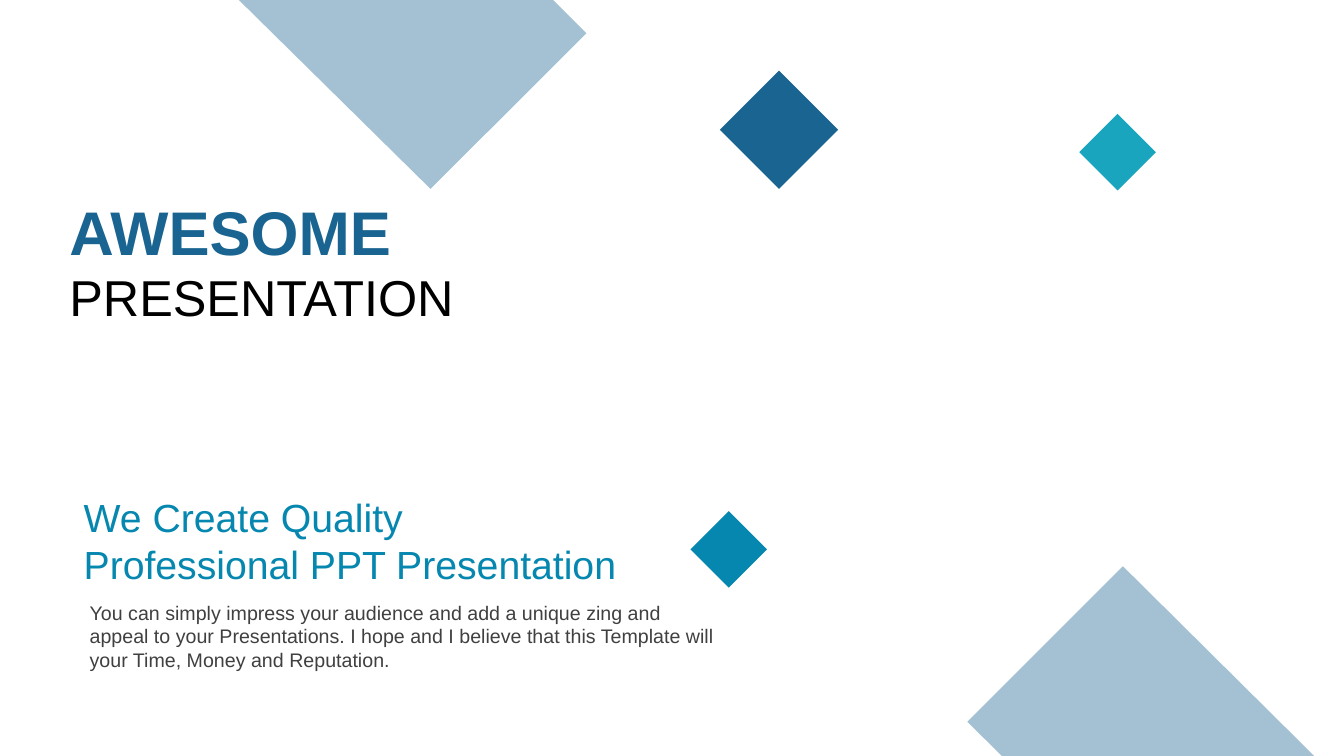
from dataclasses import dataclass

from lxml.etree import SubElement
from pptx import Presentation
from pptx.dml.color import RGBColor
from pptx.enum.shapes import MSO_SHAPE
from pptx.enum.text import MSO_ANCHOR
from pptx.oxml.ns import qn
from pptx.shapes.autoshape import Shape
from pptx.slide import Slide
from pptx.util import Cm, Pt

COLORS = {
    "navy": "196491",
    "blue": "0587AF",
    "teal": "19A5BE",
    "black": "000000",
    "gray": "404040",
}


@dataclass
class Label:
    left: float
    top: float
    width: float
    height: float
    lines: list[str]
    size: int
    color: str
    bold: bool = False
    anchor: MSO_ANCHOR = MSO_ANCHOR.MIDDLE
    side: float = 0.25
    edge: float = 0.13


@dataclass
class Diamond:
    left: float
    top: float
    size: float
    color: str


@dataclass
class Corner:
    points: list[tuple[float, float]]
    color: str
    alpha: int


LABELS = [
    Label(2.01, 15.01, 16.36, 2.06,
          ["You can simply impress your audience and add a unique zing and "
           "appeal to your Presentations. I hope and I believe that this "
           "Template will your Time, Money and Reputation."],
          14, "gray", anchor=MSO_ANCHOR.TOP),
    Label(2.01, 12.42, 14.48, 2.39,
          ["We Create Quality", "Professional PPT Presentation"],
          28, "blue", side=0.1, edge=0),
    Label(1.5, 4.75, 10.62, 2.13, ["AWESOME"], 44, "navy", bold=True),
    Label(1.5, 6.58, 10.62, 1.8, ["PRESENTATION"], 36, "black"),
]

DIAMONDS = [
    Diamond(18.14, 1.78, 2.98, "navy"),
    Diamond(17.4, 12.88, 1.93, "blue"),
    Diamond(27.2, 2.87, 1.93, "teal"),
]

CORNERS = [
    Corner([(6.02, 0), (13.94, 0), (14.78, 0.84), (10.85, 4.76)], "navy", 40),
    Corner([(28.3, 14.27), (33.12, 19.05), (25.25, 19.05), (24.38, 18.19)],
           "navy", 40),
]


def paint(shape: Shape, color: str) -> None:
    shape.shadow.inherit = False
    shape.fill.solid()
    shape.fill.fore_color.rgb = RGBColor.from_string(COLORS[color])
    shape.line.fill.background()


def add_label(slide: Slide, label: Label) -> None:
    box = slide.shapes.add_textbox(
        Cm(label.left), Cm(label.top), Cm(label.width), Cm(label.height))
    frame = box.text_frame
    frame.word_wrap = True
    frame.vertical_anchor = label.anchor
    frame.margin_left = frame.margin_right = Cm(label.side)
    frame.margin_top = frame.margin_bottom = Cm(label.edge)
    frame.text = "\n".join(label.lines)
    for para in frame.paragraphs:
        font = para.font
        font.name = "Arial"
        font.size = Pt(label.size)
        font.bold = label.bold
        font.color.rgb = RGBColor.from_string(COLORS[label.color])


def add_diamond(slide: Slide, diamond: Diamond) -> None:
    size = Cm(diamond.size)
    shape = slide.shapes.add_shape(
        MSO_SHAPE.DIAMOND, Cm(diamond.left), Cm(diamond.top), size, size)
    paint(shape, diamond.color)


def add_corner(slide: Slide, corner: Corner) -> None:
    start, *rest = [(Cm(x), Cm(y)) for x, y in corner.points]
    builder = slide.shapes.build_freeform(*start)
    builder.add_line_segments(rest, close=True)
    shape = builder.convert_to_shape()
    paint(shape, corner.color)
    color = shape._element.spPr.find(qn("a:solidFill"))[0]
    SubElement(color, qn("a:alpha"), val=str(corner.alpha * 1000))


def main() -> None:
    deck = Presentation()
    deck.slide_width = Cm(33.87)
    deck.slide_height = Cm(19.05)
    slide = deck.slides.add_slide(deck.slide_layouts[6])
    for label in LABELS:
        add_label(slide, label)
    for corner in CORNERS:
        add_corner(slide, corner)
    for diamond in DIAMONDS:
        add_diamond(slide, diamond)
    deck.save("out.pptx")


if __name__ == "__main__":
    main()
